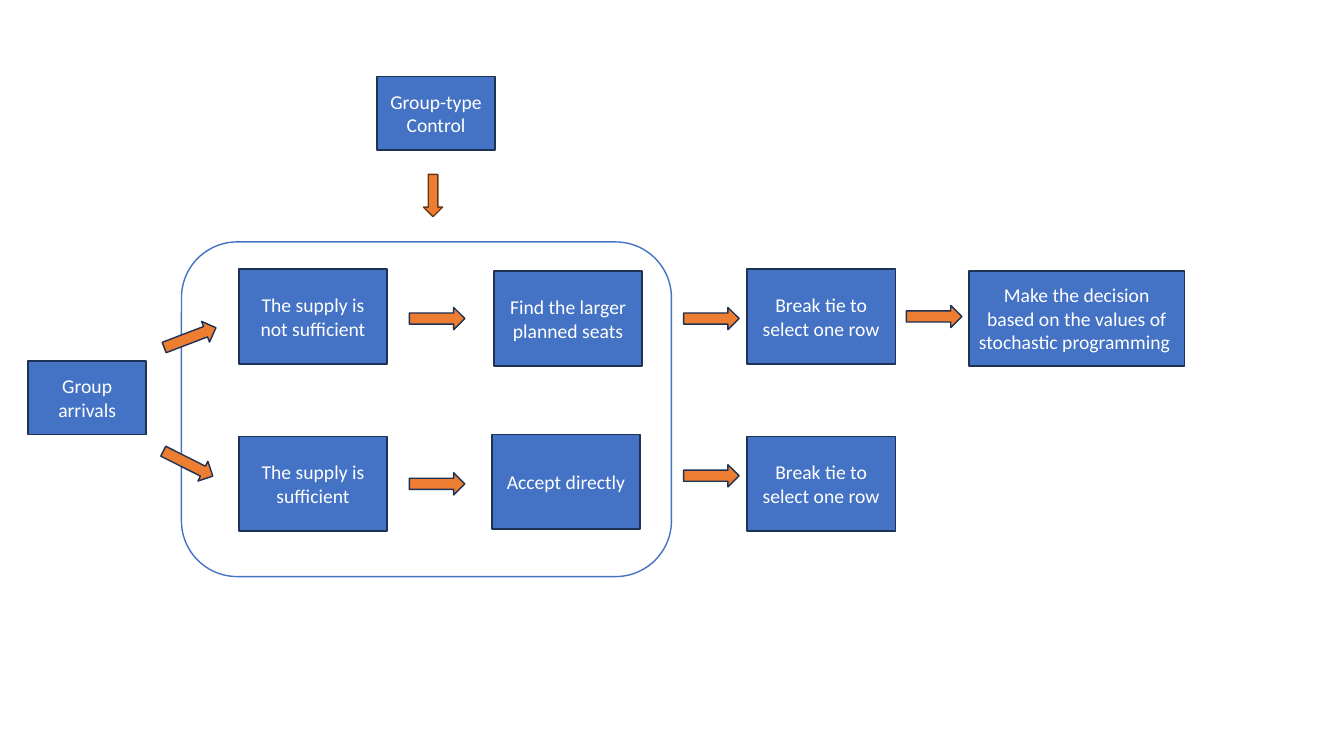
import pptx
import pptx.dml.color
import pptx.enum.shapes
import pptx.enum.text
import pptx.util

Inches = pptx.util.Inches
Pt = pptx.util.Pt
RGBColor = pptx.dml.color.RGBColor
SHAPE = pptx.enum.shapes.MSO_SHAPE

WHITE = RGBColor(0xFF, 0xFF, 0xFF)
BLUE = RGBColor(0x44, 0x72, 0xC4)
NAVY = RGBColor(0x1E, 0x32, 0x56)
ORANGE = RGBColor(0xED, 0x7D, 0x31)
BROWN = RGBColor(0x68, 0x37, 0x15)

STEP_SIZE = (1.47, 0.94)
DECISION_SIZE = (2.14, 0.94)
INPUT_SIZE = (1.17, 0.73)
ARROW_SIZE = (0.55, 0.22)

# Text, left, top, size
BOXES = [
    ("Group-type Control", 3.74, 0.76, INPUT_SIZE),
    ("Group arrivals", 0.28, 3.58, INPUT_SIZE),
    ("The supply is not sufficient", 2.37, 2.67, STEP_SIZE),
    ("Find the larger planned seats", 4.9, 2.69, STEP_SIZE),
    ("Break tie to select one row", 7.41, 2.67, STEP_SIZE),
    ("Make the decision based on the values of stochastic programming ",
     9.61, 2.69, DECISION_SIZE),
    ("The supply is sufficient", 2.37, 4.33, STEP_SIZE),
    ("Accept directly", 4.88, 4.31, STEP_SIZE),
    ("Break tie to select one row", 7.41, 4.33, STEP_SIZE),
]

# Left, top, rotation in degrees
FLOW_ARROWS = [
    (1.61, 3.24, 339.1),
    (4.06, 3.05, 0),
    (6.78, 3.05, 0),
    (8.99, 3.03, 0),
    (1.59, 4.49, 26.7),
    (4.06, 4.69, 0),
    (6.78, 4.61, 0),
]


def add_shape(slide, kind, left, top, size, fill, line):
    width, height = size
    shape = slide.shapes.add_shape(
        kind, Inches(left), Inches(top), Inches(width), Inches(height))
    shape.shadow.inherit = False
    shape.fill.solid()
    shape.fill.fore_color.rgb = fill
    shape.line.color.rgb = line
    shape.line.width = Pt(1)
    return shape


def add_box(slide, text, left, top, size):
    box = add_shape(slide, SHAPE.RECTANGLE, left, top, size, BLUE, NAVY)
    frame = box.text_frame
    frame.word_wrap = True
    frame.vertical_anchor = pptx.enum.text.MSO_ANCHOR.MIDDLE
    para = frame.paragraphs[0]
    para.text = text
    para.alignment = pptx.enum.text.PP_ALIGN.CENTER
    para.font.name = "Calibri"
    para.font.size = Pt(14)
    para.font.color.rgb = WHITE


def add_flow_arrow(slide, left, top, rotation):
    arrow = add_shape(
        slide, SHAPE.RIGHT_ARROW, left, top, ARROW_SIZE, ORANGE, NAVY)
    arrow.rotation = rotation


def main():
    deck = pptx.Presentation()
    deck.slide_width = Inches(13.33)
    deck.slide_height = Inches(7.5)
    slide = deck.slides.add_slide(deck.slide_layouts[6])

    # Frame around the supply check
    add_shape(slide, SHAPE.ROUNDED_RECTANGLE, 1.8, 2.4, (4.86, 3.32),
              WHITE, BLUE)

    # Process steps
    for text, left, top, size in BOXES:
        add_box(slide, text, left, top, size)

    # Arrows between the steps, and from the control into the frame
    for left, top, rotation in FLOW_ARROWS:
        add_flow_arrow(slide, left, top, rotation)
    add_shape(slide, SHAPE.DOWN_ARROW, 4.2, 1.73, (0.19, 0.42),
              ORANGE, BROWN)

    deck.save("out.pptx")


if __name__ == "__main__":
    main()
